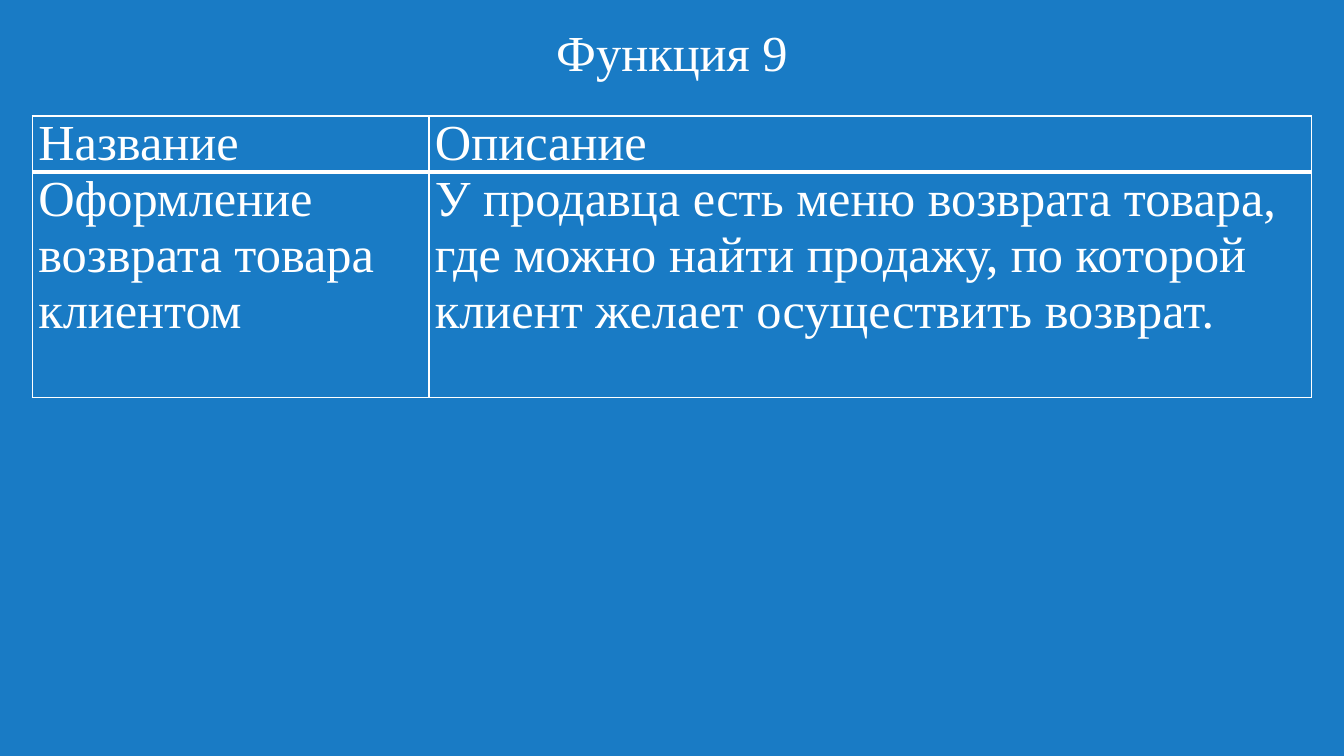
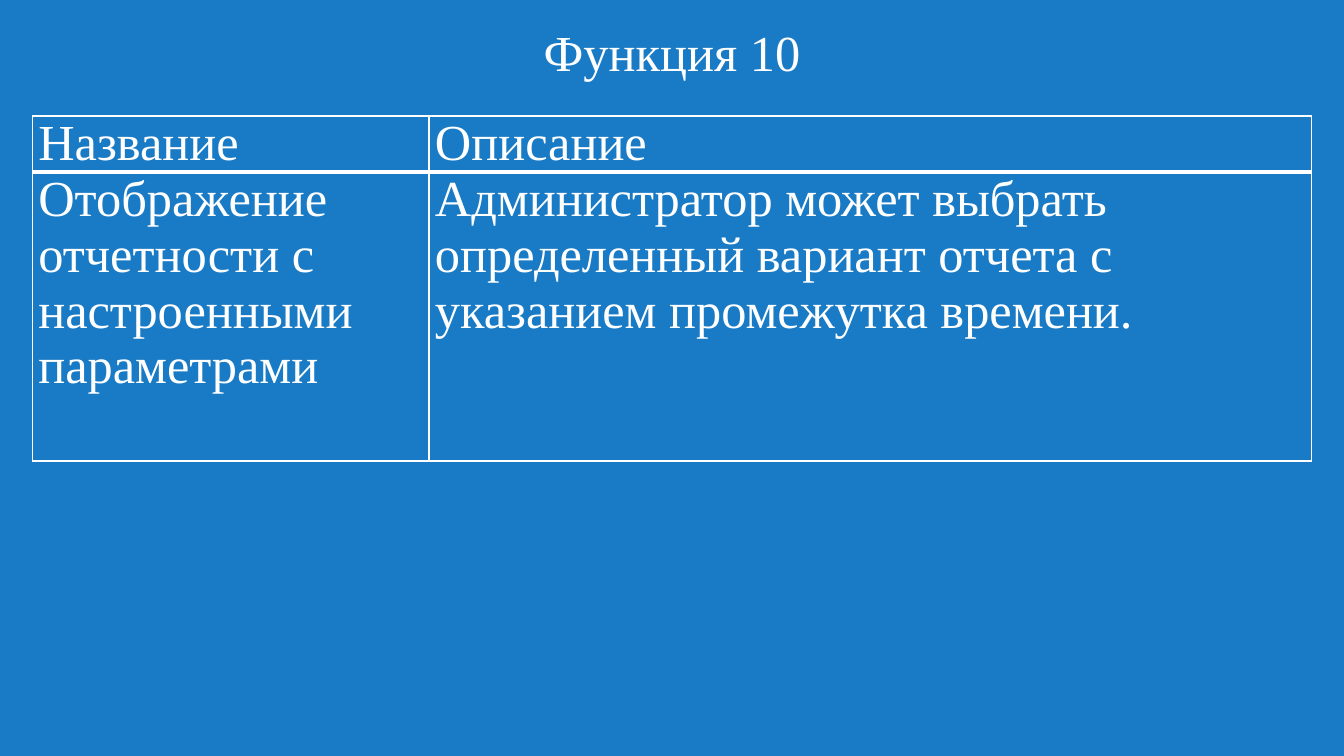
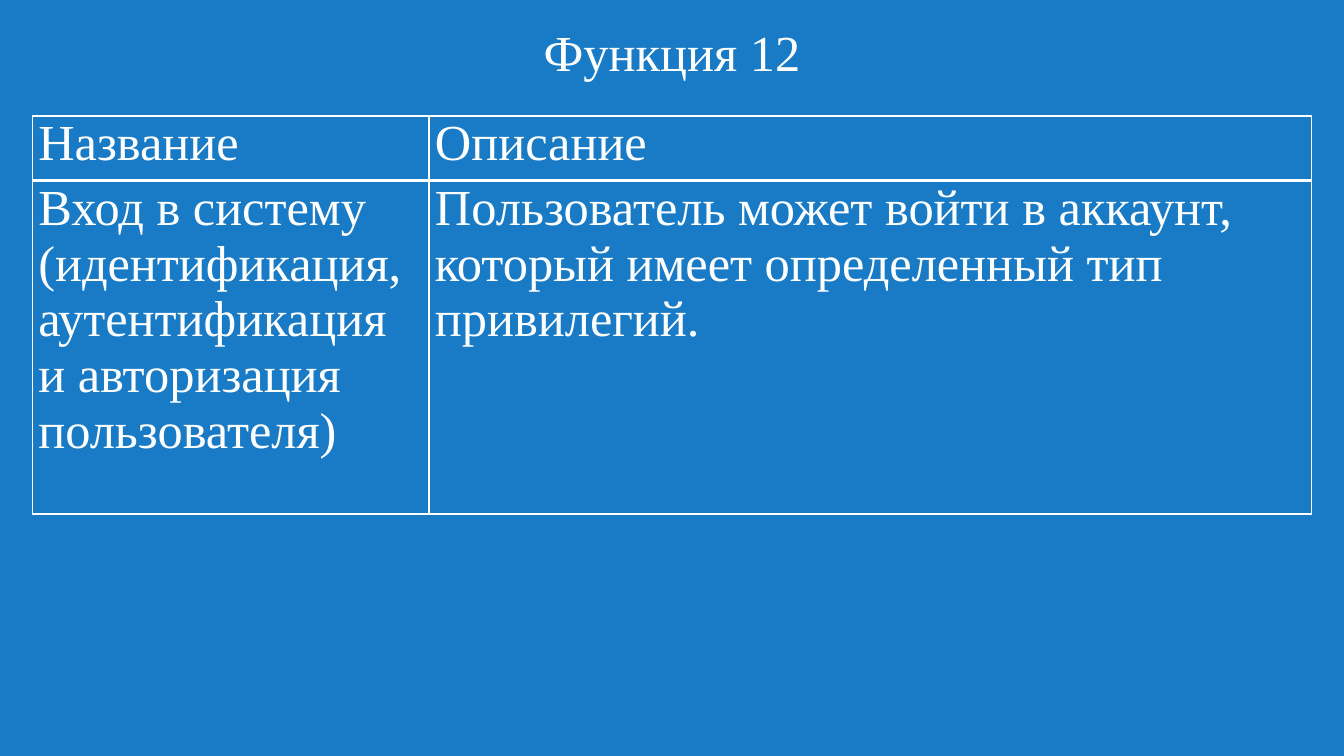
from lxml import etree
from pptx import Presentation
from pptx import util as u
from pptx.dml.color import RGBColor
from pptx.enum import text
from pptx.oxml import ns

COLORS = {"background": "197BC5", "ink": "FFFFFF"}
FONT, SIZE = "Times New Roman", u.Pt(36)
HEADINGS = ("Название", "Описание")
COLUMN_SHARES = (0.31, 0.69)
THIN, THICK = 1, 3

# title, header row height, body row height, body row texts
FUNCTIONS = [
    ("Функция 9", 0.54, 2.24,
     ("Оформление возврата товара клиентом",
      "У продавца есть меню возврата товара, где можно найти продажу, "
      "по которой клиент желает осуществить возврат.")),
    ("Функция 10", 0.55, 2.87,
     ("Отображение отчетности с настроенными параметрами",
      "Администратор может выбрать определенный вариант отчета "
      "с указанием промежутка времени.")),
    ("Функция 12", 0.64, 3.31,
     ("Вход в систему (идентификация, аутентификация и авторизация пользователя)",
      "Пользователь может войти в аккаунт, который имеет определенный "
      "тип привилегий.")),
]


def style_paragraph(paragraph):
    paragraph.font.name = FONT
    paragraph.font.size = SIZE
    paragraph.font.bold = False
    paragraph.font.color.rgb = RGBColor.from_string(COLORS["ink"])


def set_borders(cell, top, bottom):
    """Draw the four cell borders; top and bottom are widths in points."""
    properties = cell._tc.get_or_add_tcPr()
    widths = {"lnL": THIN, "lnR": THIN, "lnT": top, "lnB": bottom}
    for position, (side, width) in enumerate(widths.items()):
        line = etree.Element(ns.qn(f"a:{side}"), w=str(u.Pt(width)))
        fill = etree.SubElement(line, ns.qn("a:solidFill"))
        etree.SubElement(fill, ns.qn("a:srgbClr"), val=COLORS["ink"])
        properties.insert(position, line)


presentation = Presentation()
presentation.slide_width, presentation.slide_height = u.Inches(13.33), u.Inches(7.5)
background = RGBColor.from_string(COLORS["background"])

# Shared background and title position
layout = presentation.slide_layouts.get_by_name("Title Only")
layout.background.fill.solid()
layout.background.fill.fore_color.rgb = background
layout_title = layout.placeholders[0]
layout_title.left, layout_title.top = u.Inches(0.55), u.Inches(0.01)
layout_title.width, layout_title.height = u.Inches(12.23), u.Inches(0.86)
layout_title.text_frame.vertical_anchor = text.MSO_ANCHOR.BOTTOM

table_left, table_top = u.Inches(0.32), u.Inches(1.15)
table_width = presentation.slide_width - 2 * table_left

for title, header_height, body_height, body in FUNCTIONS:
    slide = presentation.slides.add_slide(layout)
    slide.shapes.title.text = title
    paragraph = slide.shapes.title.text_frame.paragraphs[0]
    paragraph.alignment = text.PP_ALIGN.CENTER
    paragraph.line_spacing = 0.9
    style_paragraph(paragraph)

    table = slide.shapes.add_table(
        2, len(HEADINGS), table_left, table_top, table_width,
        u.Inches(header_height + body_height)).table
    table.first_row = table.horz_banding = False
    for column, share in zip(table.columns, COLUMN_SHARES):
        column.width = int(table_width * share)

    rows = ((header_height, HEADINGS, THIN, THICK),
            (body_height, body, THICK, THIN))
    for row, (height, words, top, bottom) in zip(table.rows, rows):
        row.height = u.Inches(height)
        for cell, wording in zip(row.cells, words):
            cell.text = wording
            cell.margin_left = cell.margin_right = u.Inches(0.06)
            cell.margin_top = cell.margin_bottom = 0
            cell.fill.solid()
            cell.fill.fore_color.rgb = background
            set_borders(cell, top, bottom)
            style_paragraph(cell.text_frame.paragraphs[0])

presentation.save("out.pptx")
